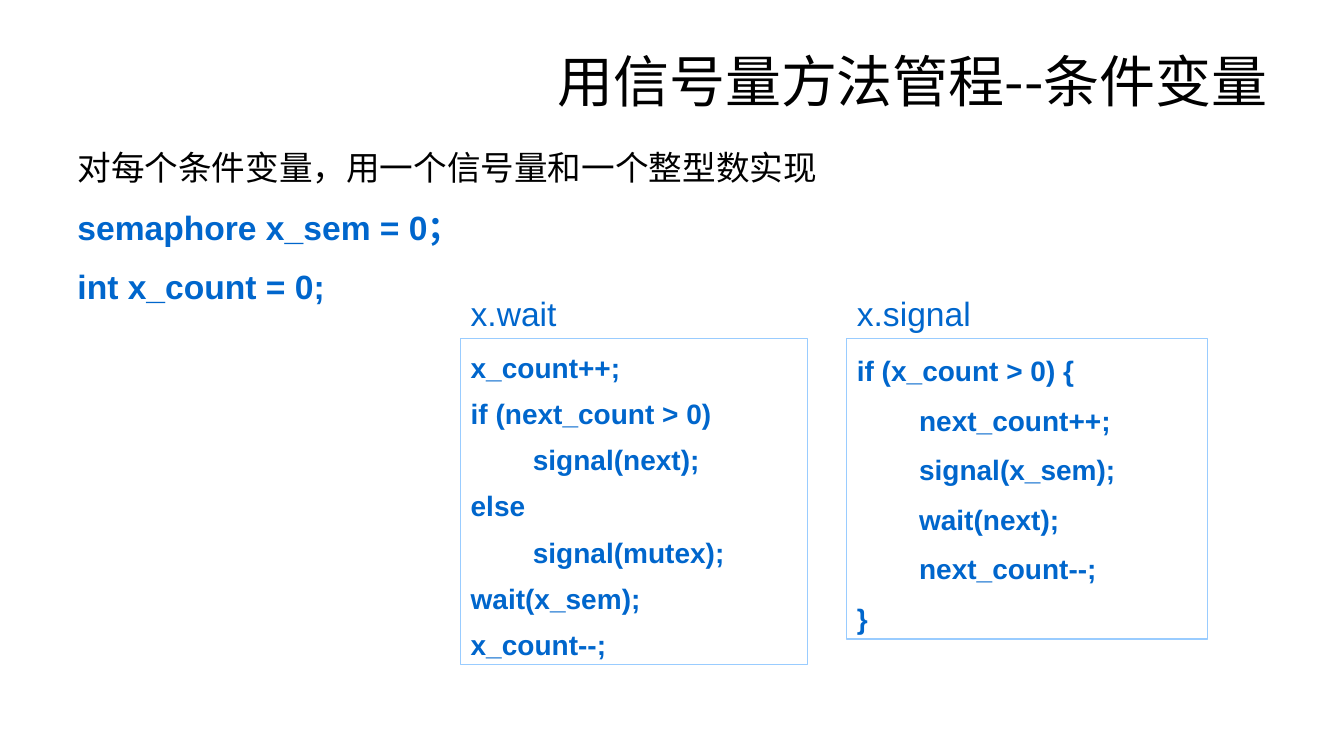
from pptx import Presentation
from pptx.dml.color import RGBColor
from pptx.enum.shapes import MSO_SHAPE
from pptx.enum.text import MSO_ANCHOR, PP_ALIGN
from pptx.oxml.ns import qn
from pptx.util import Inches, Pt

RECTANGLE = MSO_SHAPE.RECTANGLE
TOP, MIDDLE = MSO_ANCHOR.TOP, MSO_ANCHOR.MIDDLE
LEFT, RIGHT = PP_ALIGN.LEFT, PP_ALIGN.RIGHT
CJK_FONT = "Noto Sans CJK SC"
BLACK, BLUE, PALE_BLUE = "000000", "0066CC", "99CCFF"
CAPTION_HEIGHT = 0.5

WAIT_CODE = """x_count++;
if (next_count > 0)
        signal(next);
else
        signal(mutex);
wait(x_sem);
x_count--;"""

SIGNAL_CODE = """if (x_count > 0) {
        next_count++;
        signal(x_sem);
        wait(next);
        next_count--;
}"""


def rgb(value):
    return RGBColor.from_string(value)


def write_lines(frame, lines, size, font="Arial", align=LEFT, spacing=1.0, gap=0):
    frame.word_wrap = True
    for index, (text, color, bold) in enumerate(lines):
        paragraph = frame.paragraphs[0] if index == 0 else frame.add_paragraph()
        paragraph.alignment = align
        paragraph.line_spacing = spacing
        paragraph.space_before = Pt(gap if index else 0)
        run = paragraph.add_run()
        run.text = text
        run.font.size = Pt(size)
        run.font.bold = bold
        run.font.name = font
        run.font.color.rgb = rgb(color)
        east_asian = run.font._element.makeelement(qn("a:ea"), {"typeface": CJK_FONT})
        run.font._element.find(qn("a:latin")).addnext(east_asian)


def add_text(slide, box, lines, size, anchor=TOP, **style):
    frame = slide.shapes.add_textbox(*map(Inches, box)).text_frame
    frame.vertical_anchor = anchor
    write_lines(frame, lines, size, **style)


def add_title(slide, box):
    title = [("用信号量方法管程--条件变量", BLACK, False)]
    add_text(slide, box, title, 40, anchor=MIDDLE, font=CJK_FONT, align=RIGHT)


def add_declarations(slide, box):
    declarations = [
        ("对每个条件变量，用一个信号量和一个整型数实现", BLACK, False),
        ("semaphore x_sem = 0；", BLUE, True),
        ("int x_count = 0;", BLUE, True),
    ]
    add_text(slide, box, declarations, 24, spacing=1.3, gap=5)


def add_operation(slide, box, caption, code, spacing):
    left, top, width, height = box
    add_text(slide, (left, top, width, CAPTION_HEIGHT), [(caption, BLUE, False)], 24)
    code_box = (left, top + CAPTION_HEIGHT, width, height - CAPTION_HEIGHT)
    panel = slide.shapes.add_shape(RECTANGLE, *map(Inches, code_box))
    panel.shadow.inherit = False
    panel.fill.background()
    panel.line.color.rgb = rgb(PALE_BLUE)
    panel.line.width = Pt(0.75)
    panel.text_frame.vertical_anchor = TOP
    code_lines = [(line, BLUE, True) for line in code.splitlines()]
    write_lines(panel.text_frame, code_lines, 20, spacing=spacing, gap=4.2)


def main():
    deck = Presentation()
    deck.slide_width, deck.slide_height = Inches(13.33), Inches(7.5)
    slide = deck.slides.add_slide(deck.slide_layouts[6])
    add_title(slide, (0.67, 0.3, 12, 0.99))
    add_declarations(slide, (0.67, 1.29, 7.74, 1.79))
    add_operation(slide, (4.57, 2.86, 3.44, 3.73), "x.wait", WAIT_CODE, 1.2)
    add_operation(slide, (8.4, 2.86, 3.58, 3.48), "x.signal", SIGNAL_CODE, 1.3)
    deck.save("out.pptx")


if __name__ == "__main__":
    main()
